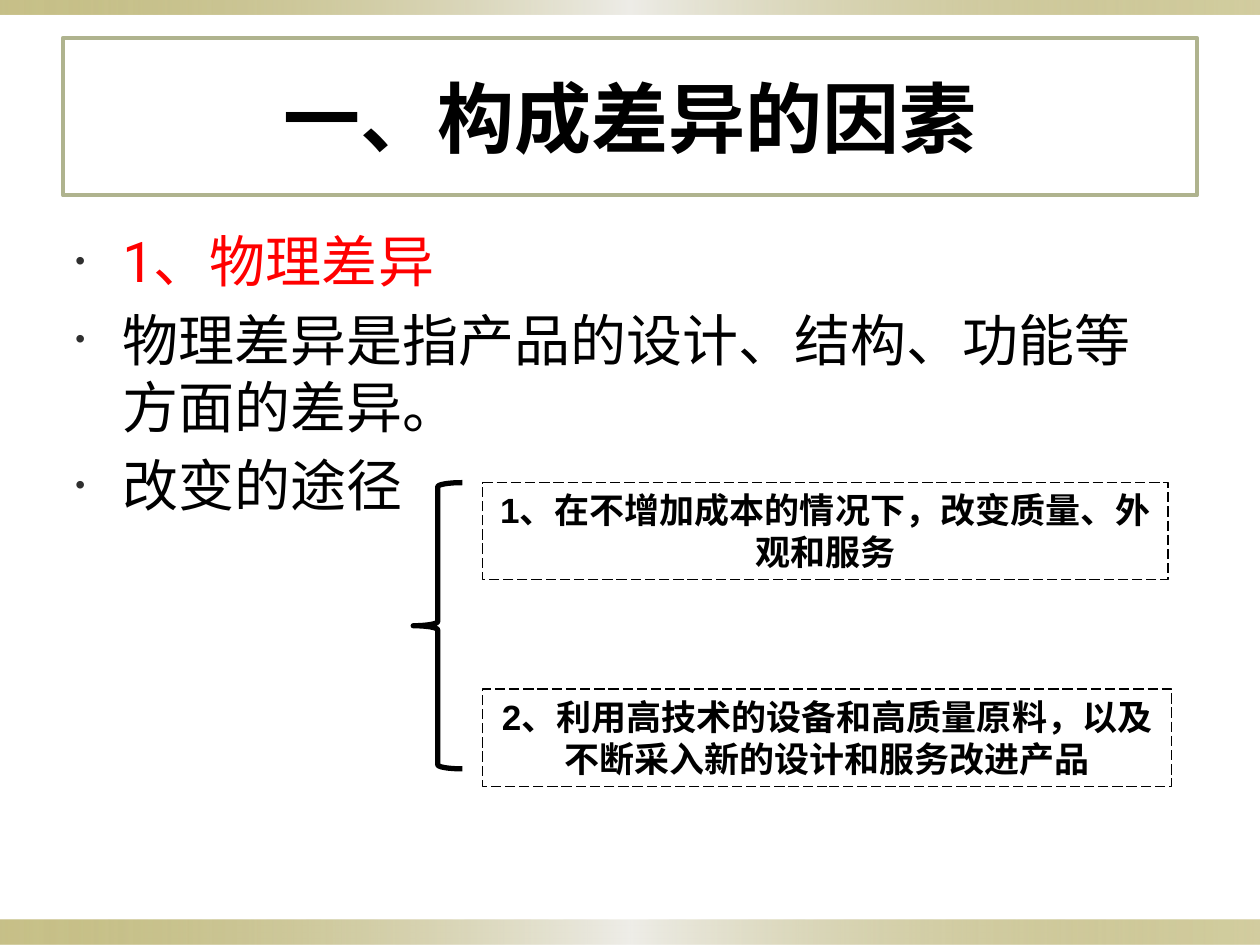
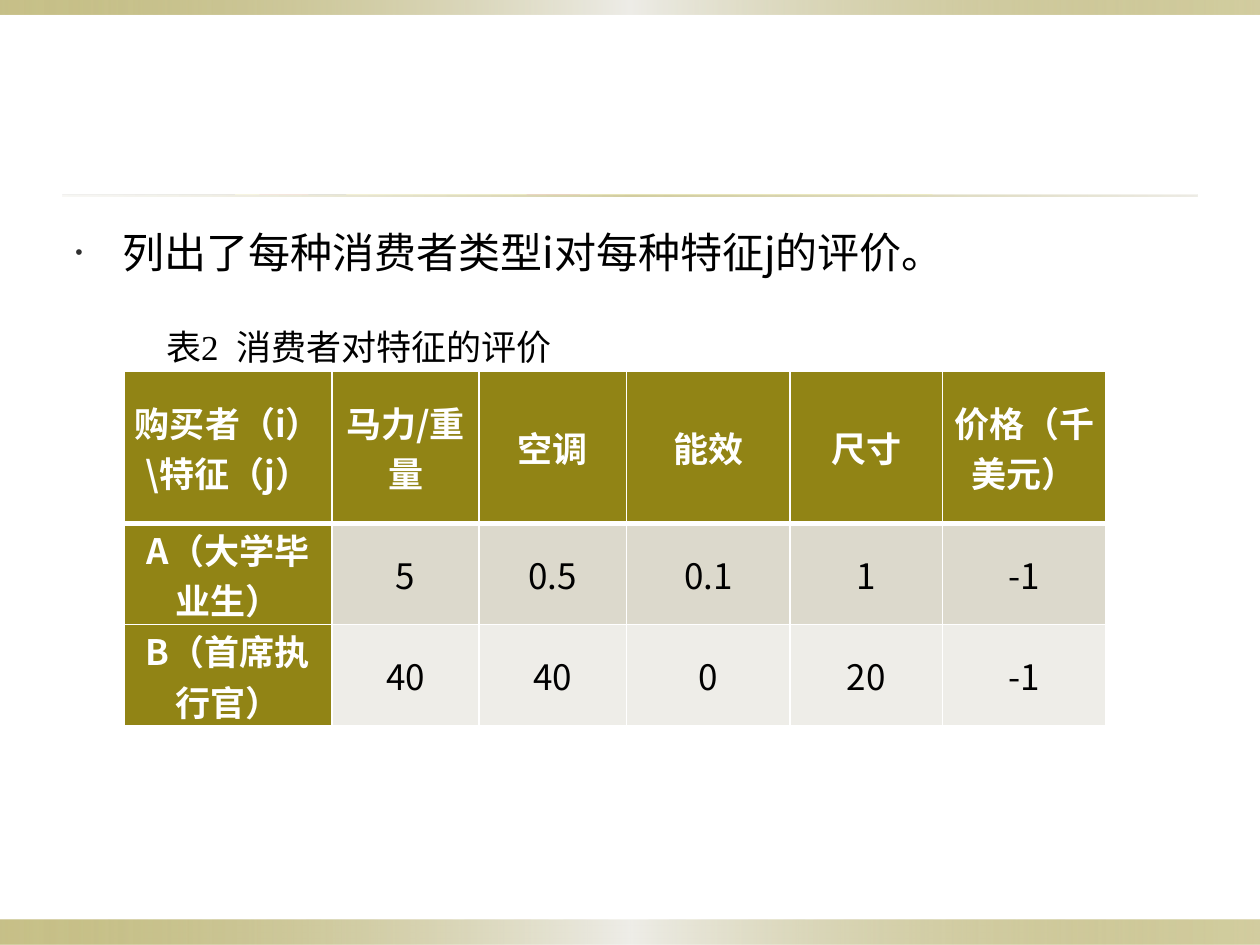
from pptx import Presentation
from pptx.dml.color import RGBColor
from pptx.enum.dml import MSO_LINE
from pptx.enum.shapes import MSO_SHAPE
from pptx.enum.text import MSO_ANCHOR, PP_ALIGN
from pptx.oxml.ns import qn
from pptx.util import Cm, Pt
from lxml.etree import SubElement

COLORS = {
    "text": "000000", "accent": "FF0000", "bullet": "2F2F2F",
    "olive": "918415", "sand": "DCD9CC", "pale": "EEEDE8",
    "white": "FFFFFF", "title_border": "AFB38E",
}
CJK_FONT = "Noto Sans CJK SC"

# Gradient stops: position %, colour, opacity %
BAND_STOPS = [(0, "olive", 50), (50, "pale", 100), (100, "olive", 40)]
RULE_STOPS = [(0, "sand", 20), (50, "olive", 40), (100, "sand", 50)]
BANDS = [
    ((0, 18.55, 25.4, 0.5), BAND_STOPS),
    ((0, 0, 25.4, 0.3), BAND_STOPS),
    ((1.27, 3.92, 22.86, 0.04), RULE_STOPS),
]

TITLE_FONT = {"name": "Roboto", "size": Pt(44), "bold": True}
BODY_FONT = {"name": "Roboto", "size": Pt(32), "bold": False}
NOTE_FONT = {"name": CJK_FONT, "size": Pt(24), "bold": False}
BOX_FONT = {"name": "Arial", "size": Pt(20), "bold": True}
CAPTION_FONT = {"name": "Times New Roman", "size": Pt(20), "bold": False}
HEAD_FONT = {"name": CJK_FONT, "size": Pt(20), "bold": True}
VALUE_FONT = {**HEAD_FONT, "bold": False}

RATINGS = [
    ["购买者（i）\\特征（j）", "马力/重量", "空调", "能效", "尺寸", "价格（千美元）"],
    ["A（大学毕业生）", "5", "0.5", "0.1", "1", "-1"],
    ["B（首席执行官）", "40", "40", "0", "20", "-1"],
]
COLUMN_WIDTHS = [4.19, 2.97, 2.97, 3.3, 3.07, 3.3]
ROW_HEIGHTS = [3.07, 2.04, 2.04]


def rgb(color):
    return RGBColor.from_string(COLORS[color])


def cm(*lengths):
    return [Cm(length) for length in lengths]


def set_all(target, values):
    for attribute, value in values.items():
        setattr(target, attribute, value)


def write(paragraph, text, font, color="text", align=None):
    run = paragraph.add_run()
    run.text = text
    set_all(run.font, font)
    run.font.color.rgb = rgb(color)
    SubElement(run.font._element, qn("a:ea"), typeface=CJK_FONT)
    paragraph.alignment = align


def next_paragraph(frame, index):
    return frame.add_paragraph() if index else frame.paragraphs[0]


def add_plain_shape(slide, preset, place):
    shape = slide.shapes.add_shape(preset, *cm(*place))
    shape.shadow.inherit = False
    return shape


def fill_gradient(shape, stops):
    shape.fill.gradient()
    shape.fill.gradient_angle = 0
    stop_list = shape.element.spPr.find(".//" + qn("a:gsLst"))
    for stop in list(stop_list):
        stop_list.remove(stop)
    for position, color, opacity in stops:
        stop = SubElement(stop_list, qn("a:gs"), pos=str(position * 1000))
        tone = SubElement(stop, qn("a:srgbClr"), val=COLORS[color])
        SubElement(tone, qn("a:alpha"), val=str(opacity * 1000))


def put_bands_on_master(prs, slide):
    """Draw the bands on a slide, then move them behind the master's content."""
    master_tree = prs.slide_master.shapes.element
    for index, (place, stops) in enumerate(BANDS):
        band = add_plain_shape(slide, MSO_SHAPE.RECTANGLE, place)
        fill_gradient(band, stops)
        band.line.fill.background()
        band.element.nvSpPr.cNvPr.set("id", str(100 + index))
        master_tree.insert(2 + index, band.element)


def format_title(title, text):
    set_all(title, dict(zip(("left", "top", "width", "height"),
                            cm(1.27, 0.76, 22.86, 3.18))))
    title.line.color.rgb = rgb("title_border")
    title.line.width = Pt(2.25)
    title.text_frame.vertical_anchor = MSO_ANCHOR.MIDDLE
    write(title.text_frame.paragraphs[0], text, TITLE_FONT, align=PP_ALIGN.CENTER)


def add_bullets(slide, height, items, font):
    frame = slide.shapes.add_textbox(*cm(1.27, 4.45, 22.86, height)).text_frame
    frame.word_wrap = True
    for index, (text, color) in enumerate(items):
        paragraph = next_paragraph(frame, index)
        write(paragraph, text, font, color)
        paragraph.space_before = Pt(font["size"].pt * 0.2)
        props = paragraph._p.get_or_add_pPr()
        props.set("marL", str(Cm(0.95)))
        props.set("indent", str(-Cm(0.95)))
        bullet_color = SubElement(props, qn("a:buClr"))
        SubElement(bullet_color, qn("a:srgbClr"), val=COLORS["bullet"])
        SubElement(props, qn("a:buSzPct"), val="50000")
        SubElement(props, qn("a:buFont"), typeface="Arial")
        SubElement(props, qn("a:buChar"), char="•")


def add_brace(slide, place):
    brace = add_plain_shape(slide, MSO_SHAPE.LEFT_BRACE, place)
    brace.fill.background()
    brace.line.color.rgb = rgb("text")
    brace.line.width = Pt(3)


def add_dashed_box(slide, place, lines, wrap):
    box = add_plain_shape(slide, MSO_SHAPE.RECTANGLE, place)
    box.fill.background()
    box.line.color.rgb = rgb("text")
    set_all(box.line, {"width": Pt(0.75), "dash_style": MSO_LINE.LONG_DASH})
    set_all(box.text_frame, {"word_wrap": wrap, "vertical_anchor": MSO_ANCHOR.TOP})
    for index, line in enumerate(lines):
        write(next_paragraph(box.text_frame, index), line, BOX_FONT,
              align=PP_ALIGN.CENTER)


def add_caption(slide, place, text):
    frame = slide.shapes.add_textbox(*cm(*place)).text_frame
    set_all(frame, {"word_wrap": True, "vertical_anchor": MSO_ANCHOR.MIDDLE})
    write(frame.paragraphs[0], text, CAPTION_FONT)


def add_borders(cell, widths):
    """Draw white cell borders; widths in points by side L, R, T, B."""
    props = cell._tc.get_or_add_tcPr()
    for side, width in widths.items():
        border = SubElement(props, qn("a:ln" + side), w=str(Pt(width)))
        fill = SubElement(border, qn("a:solidFill"))
        SubElement(fill, qn("a:srgbClr"), val=COLORS["white"])


def add_ratings_table(slide, left, top):
    table = slide.shapes.add_table(
        len(RATINGS), len(RATINGS[0]),
        *cm(left, top, sum(COLUMN_WIDTHS), sum(ROW_HEIGHTS))).table
    for column, width in zip(table.columns, COLUMN_WIDTHS):
        column.width = Cm(width)
    for row, height in zip(table.rows, ROW_HEIGHTS):
        row.height = Cm(height)
    cell_format = {"margin_left": Cm(0.18), "margin_right": Cm(0.18),
                   "margin_top": 0, "margin_bottom": 0,
                   "vertical_anchor": MSO_ANCHOR.MIDDLE}
    for r, values in enumerate(RATINGS):
        for c, value in enumerate(values):
            cell = table.cell(r, c)
            is_head = r == 0 or c == 0
            set_all(cell, cell_format)
            add_borders(cell, {"L": 1, "R": 1, "T": 3 if r == 1 else 1,
                               "B": 3 if r == 0 else 1})
            cell.fill.solid()
            cell.fill.fore_color.rgb = rgb(
                "olive" if is_head else "sand" if r % 2 else "pale")
            write(cell.text_frame.paragraphs[0], value,
                  HEAD_FONT if is_head else VALUE_FONT,
                  "white" if is_head else "text", PP_ALIGN.CENTER)


def build_factors_slide(slide):
    format_title(slide.shapes.title, "一、构成差异的因素")
    add_bullets(slide, 13, [
        ("1、物理差异", "accent"),
        ("物理差异是指产品的设计、结构、功能等方面的差异。", "text"),
        ("改变的途径", "text"),
    ], BODY_FONT)
    add_brace(slide, (8.33, 9.73, 0.99, 5.77))
    add_dashed_box(slide, (9.73, 9.73, 13.82, 1.96),
                   ["1、在不增加成本的情况下，改变质量、外", "观和服务"], wrap=False)
    add_dashed_box(slide, (9.73, 13.89, 13.89, 1.96),
                   ["2、利用高技术的设备和高质量原料，以及不断采入新的设计和服务改进产品"],
                   wrap=True)


def build_ratings_slide(slide):
    add_bullets(slide, 1.68, [("列出了每种消费者类型i对每种特征j的评价。", "text")],
                NOTE_FONT)
    add_ratings_table(slide, 2.5, 7.48)
    add_caption(slide, (3.1, 6.43, 18.8, 1.12), "表2  消费者对特征的评价")


def main():
    prs = Presentation()
    set_all(prs, {"slide_width": Cm(25.4), "slide_height": Cm(19.05)})
    title_only, blank = prs.slide_layouts[5], prs.slide_layouts[6]
    factors = prs.slides.add_slide(title_only)
    put_bands_on_master(prs, factors)
    build_factors_slide(factors)
    build_ratings_slide(prs.slides.add_slide(blank))
    prs.save("out.pptx")


if __name__ == "__main__":
    main()
